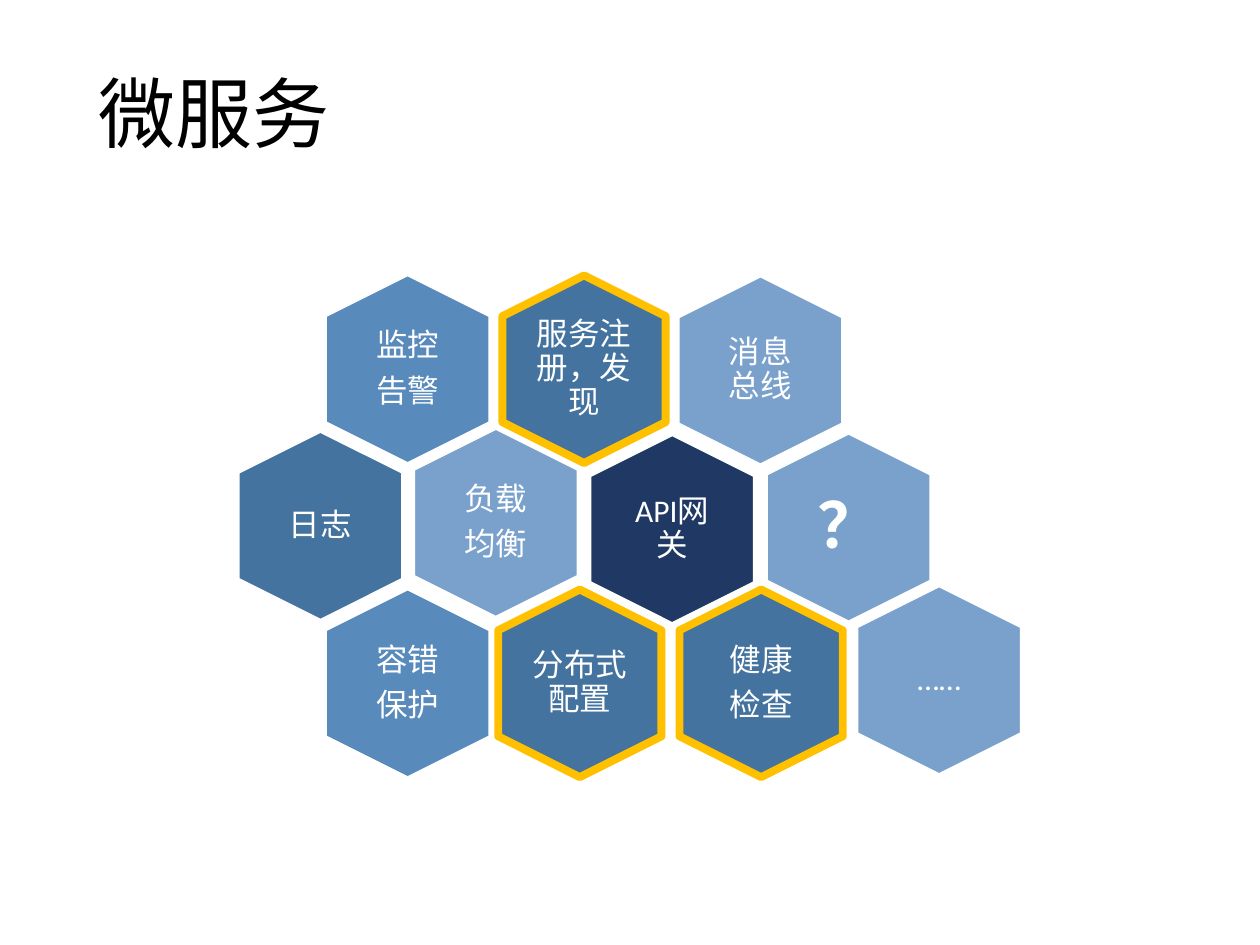
from pptx import Presentation
from pptx.dml.color import RGBColor as Rgb
from pptx.enum.shapes import MSO_SHAPE as Shape
from pptx.enum.text import MSO_ANCHOR as Anchor, PP_ALIGN as Align
from pptx.util import Pt

HUES = {
    "black": "000000", "white": "FFFFFF", "gold": "FFC000", "navy": "203864",
    "steel": "43739E", "blue": "588ABB", "pale": "7AA1CC",
}


def hue(name):
    return Rgb.from_string(HUES[name])


def write(box, text, size=18, color="white", bold=False, align=Align.CENTER,
          pad=(0, 0), after=0, font="Calibri"):
    """Fill a text box, one paragraph per line; pad is (sides, top and bottom)."""
    frame = box.text_frame
    frame.word_wrap = True
    frame.vertical_anchor = Anchor.MIDDLE
    frame.margin_left = frame.margin_right = Pt(pad[0])
    frame.margin_top = frame.margin_bottom = Pt(pad[1])
    for i, line in enumerate(text.split("\n")):
        para = frame.add_paragraph() if i else frame.paragraphs[0]
        para.alignment = align
        para.line_spacing = 0.9
        para.space_after = Pt(after)
        run = para.add_run()
        run.text = line
        run.font.name = font
        run.font.size = Pt(size)
        run.font.bold = bold
        run.font.color.rgb = hue(color)


class Board:
    # Hexagon before its quarter turn, and the text area inside it
    hex_w, hex_h = 107.2, 93.3
    text_w, text_h = 64, 74
    # Honeycomb: half-cell columns and three rows of centres
    left, step = 182.5, 50.4
    rows = (211, 300.5, 390.5)

    def __init__(self, slide):
        self.slide = slide

    def title(self, text):
        box = self.slide.shapes.add_textbox(Pt(49.5), Pt(28.8), Pt(621), Pt(77))
        write(box, text, size=44, color="black", align=Align.LEFT, pad=(7.2, 3.6))

    def cell(self, row, col, text, fill, pad=3.6, edge="white", dx=0, dy=0,
             size=18, bold=False):
        x = self.left + col * self.step + dx
        y = self.rows[row] + dy
        group = self.slide.shapes.add_group_shape().shapes

        tile = group.add_shape(
            Shape.HEXAGON, Pt(x - self.hex_w / 2), Pt(y - self.hex_h / 2),
            Pt(self.hex_w), Pt(self.hex_h))
        tile.rotation = 90
        tile.shadow.inherit = False
        tile.fill.solid()
        tile.fill.fore_color.rgb = hue(fill)
        tile.line.color.rgb = hue(edge)
        tile.line.width = Pt(4.5 if edge == "gold" else 1)

        box = group.add_textbox(
            Pt(x - self.text_w / 2), Pt(y - self.text_h / 2),
            Pt(self.text_w), Pt(self.text_h))
        write(box, text, size=size, bold=bold, pad=(pad, pad), after=0.35 * size)


def main():
    deck = Presentation()
    deck.slide_width, deck.slide_height = Pt(720), Pt(540)
    board = Board(deck.slides.add_slide(deck.slide_layouts[6]))

    board.title("微服务")

    # Top row
    board.cell(0, 1, "监控\n告警", "blue", pad=0)
    board.cell(0, 3, "服务注册，发现", "steel", edge="gold")
    board.cell(0, 5, "消息总线", "pale", pad=7.2, dy=0.7)

    # Middle row
    board.cell(1, 0, "日志", "steel", dx=0.6)
    board.cell(1, 2, "负载\n均衡", "pale", dy=-1.7)
    board.cell(1, 4, "API网关", "navy", pad=7.2, dy=1.9)
    board.cell(1, 6, "？", "pale", pad=7.2, dy=1, size=36, bold=True)

    # Bottom row
    board.cell(2, 1, "容错\n保护", "blue", pad=0)
    board.cell(2, 3, "分布式配置", "steel", edge="gold", dx=-2.4)
    board.cell(2, 5, "健康\n检查", "steel", edge="gold", dx=0.4)
    board.cell(2, 7, "……", "pale", pad=7.2, dx=1.3, dy=-1.8)

    deck.save("out.pptx")


if __name__ == "__main__":
    main()
